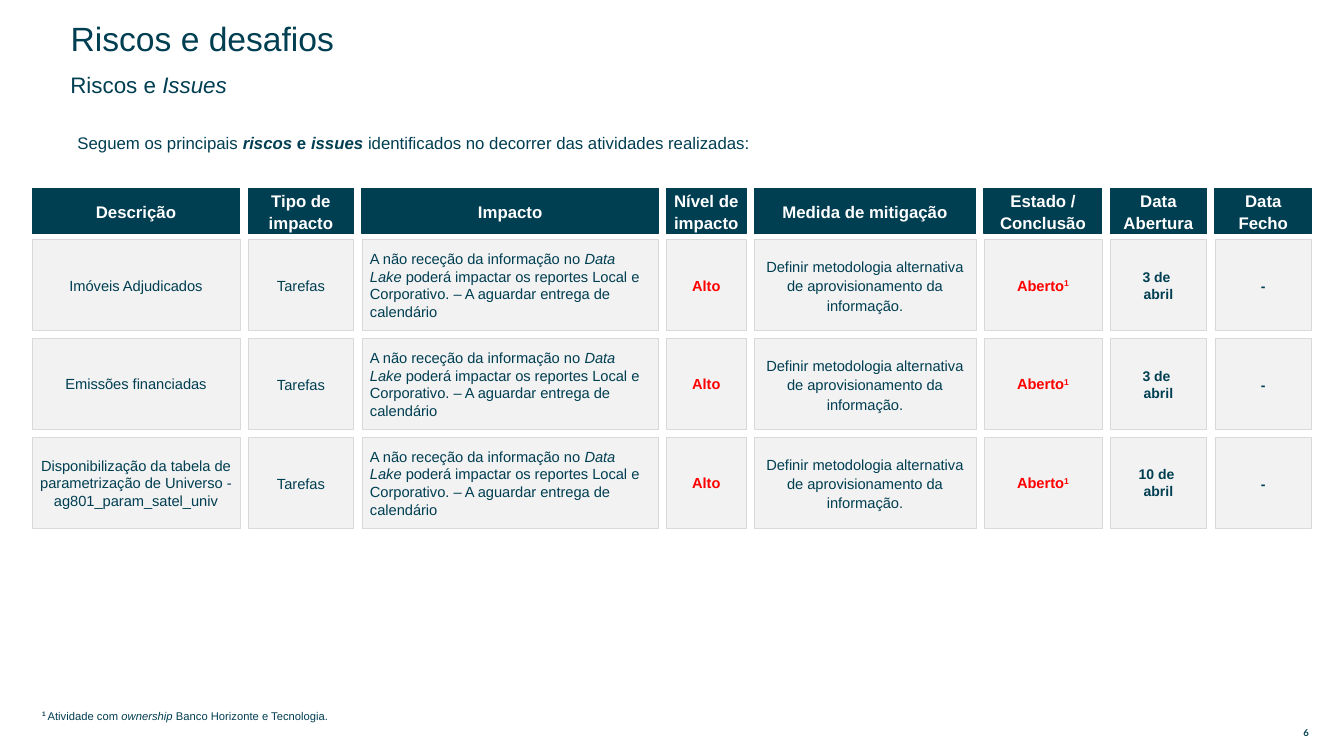
from pptx import Presentation
from pptx.dml.color import RGBColor
from pptx.enum import shapes, text
from pptx.util import Inches, Pt

TEAL = RGBColor(0x00, 0x3E, 0x51)
WHITE = RGBColor(0xFF, 0xFF, 0xFF)
RED = RGBColor(0xFF, 0x00, 0x00)
PALE = RGBColor(0xF2, 0xF2, 0xF2)
BORDER = RGBColor(0xD9, 0xD9, 0xD9)
LEFT, CENTER = text.PP_ALIGN.LEFT, text.PP_ALIGN.CENTER

COLUMNS = [
    ("Descrição", 2.06), ("Tipo de impacto", 1.05), ("Impacto", 2.94),
    ("Nível de impacto", 0.79), ("Medida de mitigação", 2.2),
    ("Estado / Conclusão", 1.17), ("Data Abertura", 0.96), ("Data Fecho", 0.96),
]
RISKS = [
    ("Imóveis Adjudicados", "3 de "),
    ("Emissões financiadas", "3 de "),
    ("Disponibilização da tabela de parametrização de Universo - ag801_param_satel_univ", "10 de "),
]
IMPACT = [
    ("A não receção da informação no ", ""), ("Data Lake", "i"),
    (" poderá impactar os reportes Local e Corporativo. – A aguardar entrega de calendário", ""),
]
MITIGATION = "Definir metodologia alternativa de aprovisionamento da informação."


def write(frame, paragraphs, size, color=TEAL, align=LEFT, spacing=1.0,
          inset=(0.1, 0.05), anchor=text.MSO_ANCHOR.MIDDLE, font="Arial"):
    """Write paragraphs of (words, style) runs; style letters are b, i and s for superscript."""
    frame.word_wrap = True
    frame.auto_size = text.MSO_AUTO_SIZE.NONE
    frame.vertical_anchor = anchor
    frame.margin_left = frame.margin_right = Inches(inset[0])
    frame.margin_top = frame.margin_bottom = Inches(inset[1])
    for index, runs in enumerate(paragraphs):
        paragraph = frame.add_paragraph() if index else frame.paragraphs[0]
        paragraph.alignment = align
        paragraph.line_spacing = spacing
        paragraph.space_before = Pt(0)
        for words, style in runs:
            run = paragraph.add_run()
            run.text = words
            run.font.name = font
            run.font.size = Pt(size)
            run.font.color.rgb = color
            run.font.bold = "b" in style
            run.font.italic = "i" in style
            if "s" in style:
                run._r.get_or_add_rPr().set("baseline", "30000")


def add_note(slide, box, runs, size, **options):
    """Add one line of free text in the given box."""
    note = slide.shapes.add_textbox(*map(Inches, box))
    write(note.text_frame, [runs], size, **options)


def add_heading(slide, left, top):
    """Place the title, the subtitle and the introduction."""
    title = slide.shapes.title
    title.left, title.top = Inches(left), Inches(top)
    title.width, title.height = Inches(7.95), Inches(0.26)
    write(title.text_frame, [[("Riscos e desafios", "")]], 24, spacing=0.9)
    add_note(slide, (left, top + 0.46, 7.66, 0.26),
             [("Riscos e ", ""), ("Issues", "i")], 16, spacing=0.9)
    add_note(slide, (left + 0.07, top + 1, 12.15, 0.44),
             [("Seguem os principais ", ""), ("riscos ", "bi"), ("e ", "b"), ("issues ", "bi"),
              ("identificados no decorrer das atividades realizadas:", "")],
             12, anchor=text.MSO_ANCHOR.TOP)


def add_cell(slide, box, fill, border, weight, paragraphs, size, **options):
    """Draw one filled, outlined cell with its text."""
    cell = slide.shapes.add_shape(shapes.MSO_SHAPE.RECTANGLE, *map(Inches, box))
    cell.shadow.inherit = False
    cell.fill.solid()
    cell.fill.fore_color.rgb = fill
    cell.line.color.rgb = border
    cell.line.width = Pt(weight)
    write(cell.text_frame, paragraphs, size, **{"align": CENTER, "inset": (0.04, 0.04), **options})


def risk_cells(description, opening_day):
    """Return the paragraphs, size and text options of each cell in a risk row."""
    wide = {"inset": (0.12, 0.04)}
    return [
        ([[(description, "")]], 10.5, {}),
        ([[("Tarefas", "")]], 10.5, {"spacing": 1.1}),
        ([IMPACT], 10.5, {"align": LEFT, "inset": (0.08, 0.04)}),
        ([[("Alto", "b")]], 10.4, {"color": RED, "inset": (0, 0)}),
        ([[(MITIGATION, "")]], 10.5, {"spacing": 1.1, **wide}),
        ([[("Aberto", "b"), ("1", "bs")]], 10.5, {"color": RED, **wide}),
        ([[(opening_day, "b")], [("abril", "b")]], 10, wide),
        ([[("-", "b")]], 10, {"spacing": 1.1, **wide}),
    ]


def add_risk_grid(slide, left, top):
    """Lay out the header and risk rows with equal gaps."""
    gap, header_height, row_height = 0.08, 0.45, 0.9
    rows = [risk_cells(*risk) for risk in RISKS]
    first_row = top + header_height + 0.06
    for column, (heading, width) in enumerate(COLUMNS):
        add_cell(slide, (left, top, width, header_height), TEAL, TEAL, 0.75,
                 [[(heading, "b")]], 12, color=WHITE, spacing=1.1)
        for row, cells in enumerate(rows):
            paragraphs, size, options = cells[column]
            row_top = first_row + row * (row_height + gap)
            add_cell(slide, (left, row_top, width, row_height), PALE, BORDER, 0.5,
                     paragraphs, size, **options)
        left += width + gap


def add_footer(slide, left, top):
    """Place the footnote and the page number."""
    add_note(slide, (left, top, 11.76, 0.25),
             [("1 ", "bs"), ("Atividade com ", ""), ("ownership", "i"),
              (" Banco Horizonte e Tecnologia.", "")],
             8, spacing=1.1, anchor=text.MSO_ANCHOR.TOP)
    add_note(slide, (left + 12.41, top + 0.22, 0.45, 0.16), [("6", "b")], 6.8,
             align=CENTER, inset=(0.06, 0.03), font="Lato")


def main():
    """Build and save the slide."""
    deck = Presentation()
    deck.slide_width, deck.slide_height = Inches(13.33), Inches(7.5)
    slide = deck.slides.add_slide(deck.slide_layouts.get_by_name("Title Only"))
    add_heading(slide, 0.6, 0.27)
    add_risk_grid(slide, 0.32, 1.87)
    add_footer(slide, 0.32, 6.97)
    deck.save("out.pptx")


if __name__ == "__main__":
    main()
